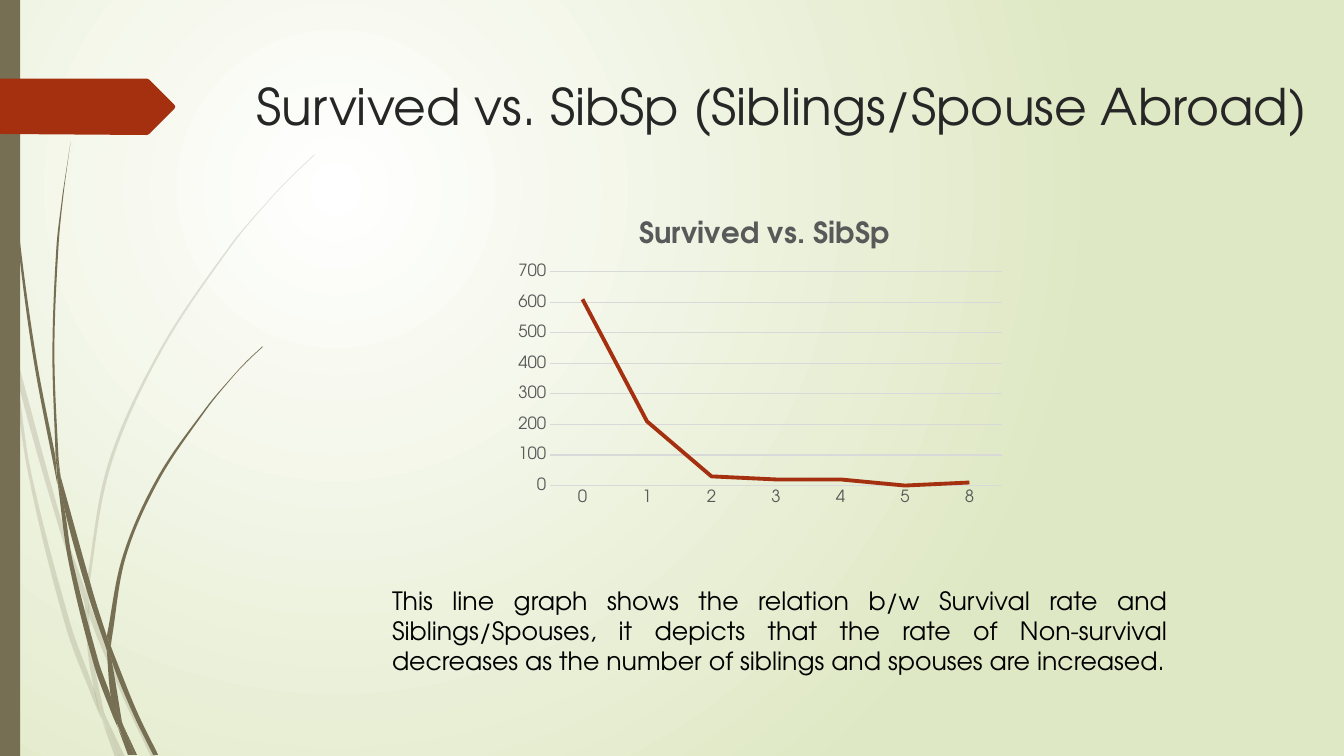
import math
from typing import NamedTuple

from lxml import etree
from pptx import Presentation
from pptx import util as u
from pptx.chart import data as chart_data
from pptx.dml.color import RGBColor
from pptx.enum import chart as charts, text
from pptx.enum import shapes
from pptx.oxml import parse_xml
from pptx.oxml.ns import nsdecls, qn

FONT = "TeX Gyre Adventor"
OLIVE, RUST, GREY, GRID = "766F54", "A53010", "595959", "D9D9D9"
OUTLINE_UNIT = u.Cm(2.54)

Point = tuple[float, float]
Edge = list[Point]


class Outline(NamedTuple):
    """Smooth edges that meet at corners."""
    edges: list[Edge]


class Label(NamedTuple):
    wording: str
    left: float
    top: float
    width: float
    height: float
    size: int
    color: str
    align: text.PP_ALIGN


def outline(*edges: Edge) -> Outline:
    return Outline(list(edges))


# Grass pieces: one edge down, the other back up
FAINT_GRASS = [
    outline([(0.11, 3.5), (0.09, 3.22), (0, 2.82)], [(0, 2.99), (0.1, 3.44)]),
    outline([(0.14, 3.45), (0.17, 3.76), (0.58, 5.22), (0.84, 5.99)],
            [(0.85, 5.86), (0.62, 5.2), (0.14, 3.45)]),
    outline([(0.88, 5.96), (0.88, 6.1), (1.23, 6.94), (1.5, 7.51)],
            [(1.55, 7.51), (1.27, 6.92), (0.92, 6.07)]),
    outline([(1.19, 7.51), (1.24, 7.51)], [(1.05, 7.11)]),
    outline([(0.11, 3.5), (0.28, 4.7), (0.65, 6.21), (0.92, 6.93), (1.01, 7.14)],
            [(0.99, 7.07), (0.93, 6.83), (0.7, 6.19), (0.31, 4.69), (0.17, 3.76), (0.11, 3.5)]),
    outline([(0.84, 5.99), (0.87, 6.46), (0.93, 6.83), (0.96, 6.92), (1.05, 7.11)],
            [(1.03, 7.06), (0.91, 6.46), (0.88, 6.1), (0.84, 5.99)]),
    outline([(0.88, 5.96), (0.88, 5.84), (1.1, 4.62), (1.6, 3.49), (2.29, 2.45), (2.68, 1.98),
             (2.9, 1.75), (3.12, 1.54)],
            [(3.12, 1.53), (2.89, 1.75), (2.68, 1.97), (2.28, 2.44), (1.58, 3.48), (1.07, 4.61),
             (0.85, 5.84)]),
    outline([(1.01, 7.14), (1.14, 7.51)], [(1.19, 7.51)]),
    outline([(0.88, 6.1), (0.88, 5.96)], [(0.85, 5.86), (0.84, 5.99)]),
    outline([(0.93, 6.83), (0.99, 7.07), (1.19, 7.51)], [(1.05, 7.11), (0.96, 6.92)]),
]
DARK_GRASS = [
    outline([(0.04, 0), (0.04, 0.48), (0.07, 1.1), (0.17, 2.33), (0.33, 3.55), (0.57, 4.81)],
            [(0.55, 4.53), (0.36, 3.55), (0.19, 2.32), (0.08, 1.09), (0.05, 0.48), (0.04, 0)]),
    outline([(0.6, 4.72), (0.64, 5.05), (0.88, 5.92), (1.06, 6.45)],
            [(1.06, 6.31), (0.93, 5.9), (0.6, 4.72)]),
    outline([(1.1, 6.41), (1.11, 6.56), (1.32, 7.08), (1.52, 7.49)],
            [(1.57, 7.49), (1.36, 7.06), (1.13, 6.49)]),
    outline([(0.57, 4.77), (0.68, 5.57), (0.93, 6.59), (1.11, 7.08), (1.17, 7.22)],
            [(1.16, 7.17), (1.1, 6.91), (0.98, 6.57), (0.72, 5.56), (0.64, 5.05), (0.57, 4.77)]),
    outline([(0.6, 4.72), (0.58, 4.53), (0.54, 3.49), (0.58, 2.45), (0.63, 1.93), (0.7, 1.41)],
            [(0.62, 1.93), (0.56, 2.45), (0.52, 3.49), (0.55, 4.49)]),
    outline([(1.33, 7.49), (1.36, 7.49)], [(1.22, 7.19)]),
    outline([(0.57, 4.77), (0.64, 5.05)], [(0.6, 4.72), (0.55, 4.49)]),
    outline([(1.1, 6.41), (1.11, 6.33), (1.25, 5.52), (1.58, 4.76), (2.05, 4.06), (2.31, 3.74),
             (2.45, 3.59), (2.61, 3.44)],
            [(2.6, 3.44), (2.45, 3.58), (2.31, 3.73), (2.04, 4.05), (1.56, 4.74), (1.22, 5.51),
             (1.06, 6.31)]),
    outline([(1.17, 7.22), (1.27, 7.49)], [(1.31, 7.49)]),
    outline([(1.06, 6.45), (1.1, 6.91), (1.16, 7.06), (1.22, 7.19)],
            [(1.21, 7.16), (1.11, 6.56), (1.09, 6.51)]),
    outline([(1.06, 6.45), (1.11, 6.56)], [(1.1, 6.41), (1.06, 6.31)]),
    outline([(1.1, 6.91), (1.16, 7.17), (1.3, 7.49)], [(1.33, 7.49), (1.22, 7.19), (1.16, 7.06)]),
]
ARROW_TAB = outline([(0, 0.78), (1.46, 0.78)], [(1.48, 0.79), (1.73, 1.04)], [(1.74, 1.06)],
                    [(1.73, 1.08), (1.48, 1.33)], [(1.46, 1.34), (0, 1.33)])

TITLE = Label("Survived vs. SibSp (Siblings/Spouse Abroad)", 6.22, 1.76, 27.2, 3.56, 36,
              "262626", text.PP_ALIGN.LEFT)
EXPLANATION = Label(
    "This line graph shows the relation b/w Survival rate and Siblings/Spouses, it depicts "
    "that the rate of Non-survival decreases as the number of siblings and spouses are "
    "increased.", 9.63, 14.62, 20.04, 3.33, 18, "000000", text.PP_ALIGN.JUSTIFY)


def rgb(color: str) -> RGBColor:
    return RGBColor.from_string(color)


def style_font(font, size: float, color: str, bold: bool = False) -> None:
    font.name, font.size, font.bold = FONT, u.Pt(size), bold
    font.color.rgb = rgb(color)


def paint(shape, color: str, opacity: int = 100) -> None:
    shape.shadow.inherit = False
    shape.fill.solid()
    shape.fill.fore_color.rgb = rgb(color)
    shape.line.fill.background()
    if opacity < 100:
        tint = shape.element.find(".//" + qn("a:solidFill"))[0]
        etree.SubElement(tint, qn("a:alpha"), val=str(opacity * 1000))


def curve_controls(edge: Edge) -> list[tuple[Point, Point]]:
    """Two Bezier handles for each step along a smooth edge."""
    padded = [edge[0], *edge, edge[-1]]
    headings = [math.atan2(after[1] - before[1], after[0] - before[0])
                for before, after in zip(padded, padded[2:])]
    controls = []
    for start, end, leave, arrive in zip(edge, edge[1:], headings, headings[1:]):
        reach = math.dist(start, end) / 3
        controls.append(((start[0] + reach * math.cos(leave), start[1] + reach * math.sin(leave)),
                         (end[0] - reach * math.cos(arrive), end[1] - reach * math.sin(arrive))))
    return controls


def draw_outline(slide, item: Outline, color: str, opacity: int = 100) -> None:
    points = [point for edge in item.edges for point in edge]
    scaled = [(x * OUTLINE_UNIT, y * OUTLINE_UNIT) for x, y in points]
    builder = slide.shapes.build_freeform(*scaled[0])
    builder.add_line_segments(scaled[1:], close=True)
    shape = builder.convert_to_shape()
    paint(shape, color, opacity)

    # Bend the lines of every edge with more than two points
    controls = []
    for edge in item.edges:
        bends = curve_controls(edge) if len(edge) > 2 else [None] * (len(edge) - 1)
        controls += [None, *bends]
    left, top = min(x for x, _ in points), min(y for _, y in points)
    for line, handles in zip(shape.element.findall(".//" + qn("a:lnTo")), controls[1:]):
        if handles:
            line.tag = qn("a:cubicBezTo")
            for index, (x, y) in enumerate(handles):
                line.insert(index, etree.Element(
                    qn("a:pt"), x=str(round((x - left) * OUTLINE_UNIT)),
                    y=str(round((y - top) * OUTLINE_UNIT))))


def draw_label(slide, label: Label) -> None:
    box = slide.shapes.add_textbox(*map(u.Cm, (label.left, label.top, label.width, label.height)))
    box.text_frame.word_wrap = True
    paragraph = box.text_frame.paragraphs[0]
    paragraph.text, paragraph.alignment = label.wording, label.align
    style_font(paragraph.font, label.size, label.color)


def place(part, index: int, target: str, **percents: float) -> None:
    """Give a chart part a fixed place, in percent of the chart."""
    for old in part.findall(qn("c:layout")):
        part.remove(old)
    numbers = "".join(f'<c:{key} val="{value / 100}"/>' for key, value in percents.items())
    part.insert(index, parse_xml(
        f'<c:layout {nsdecls("c")}><c:manualLayout>{target}<c:xMode val="edge"/>'
        f'<c:yMode val="edge"/>{numbers}</c:manualLayout></c:layout>'))


def draw_chart(slide) -> None:
    survival = chart_data.CategoryChartData()
    survival.categories = ["0", "1", "2", "3", "4", "5", "8"]
    survival.add_series("Series 1", (610, 210, 30, 20, 20, 0, 10))
    chart = slide.shapes.add_chart(charts.XL_CHART_TYPE.LINE, u.Cm(12.8), u.Cm(5.28),
                                   u.Cm(12.7), u.Cm(7.62), survival).chart
    style_font(chart.font, 12, GREY)
    chart.has_legend, chart.has_title = False, True
    heading = chart.chart_title.text_frame.paragraphs[0]
    heading.text = "Survived vs. SibSp"
    style_font(heading.font, 20.8, GREY, bold=True)
    place(chart.element.find(".//" + qn("c:title")), 1, "", x=25, y=1)
    place(chart.element.find(".//" + qn("c:plotArea")), 0, '<c:layoutTarget val="inner"/>',
          x=8.4, y=20.6, w=89.6, h=70.7)

    categories, values = chart.category_axis, chart.value_axis
    for axis in (categories, values):
        axis.major_tick_mark = axis.minor_tick_mark = charts.XL_TICK_MARK.NONE
        style_font(axis.tick_labels.font, 12, GREY)
    values.minimum_scale, values.maximum_scale, values.major_unit = 0, 700, 100
    values.format.line.fill.background()
    for line, width in ((categories.format.line, 1), (values.major_gridlines.format.line, 0.75)):
        line.color.rgb, line.width = rgb(GRID), u.Pt(width)

    plot = chart.plots[0]
    plot.vary_by_categories = False
    series = plot.series[0]
    series.smooth = False
    series.marker.style = charts.XL_MARKER_STYLE.NONE
    series.format.line.color.rgb, series.format.line.width = rgb(RUST), u.Pt(2.75)


presentation = Presentation()
presentation.slide_width, presentation.slide_height = u.Cm(33.87), u.Cm(19.05)
slide = presentation.slides.add_slide(presentation.slide_layouts[6])

# Radial background
background = slide.background.fill
background.gradient()
for stop, color in zip(background.gradient_stops, ("FFFFFF", "DFE8C4")):
    stop.color.rgb = rgb(color)
gradient = slide.element.find(".//" + qn("a:gradFill"))
gradient.replace(gradient.find(qn("a:lin")), parse_xml(
    f'<a:path {nsdecls("a")} path="circle">'
    '<a:fillToRect l="50000" t="50000" r="100000" b="100000"/></a:path>'))

# Grass, side bar and arrow tab
for grass, opacity in ((FAINT_GRASS, 20), (DARK_GRASS, 100)):
    for piece in grass:
        draw_outline(slide, piece, OLIVE, opacity)
bar = slide.shapes.add_shape(shapes.MSO_SHAPE.RECTANGLE, 0, 0, u.Cm(0.51), u.Cm(19.05))
paint(bar, OLIVE)
draw_outline(slide, ARROW_TAB, RUST)

# Title, chart and explanation
draw_label(slide, TITLE)
draw_chart(slide)
draw_label(slide, EXPLANATION)

presentation.save("out.pptx")
